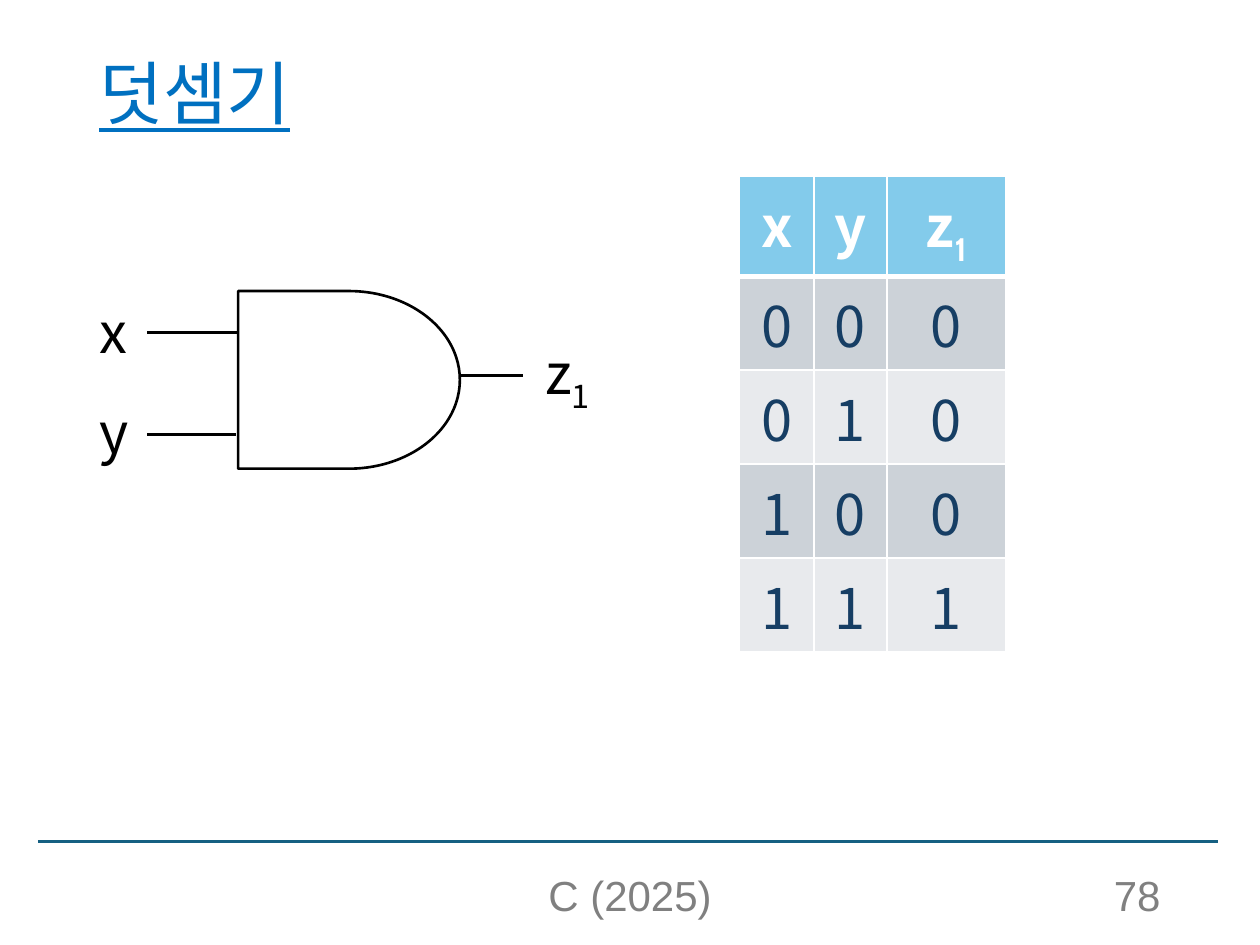
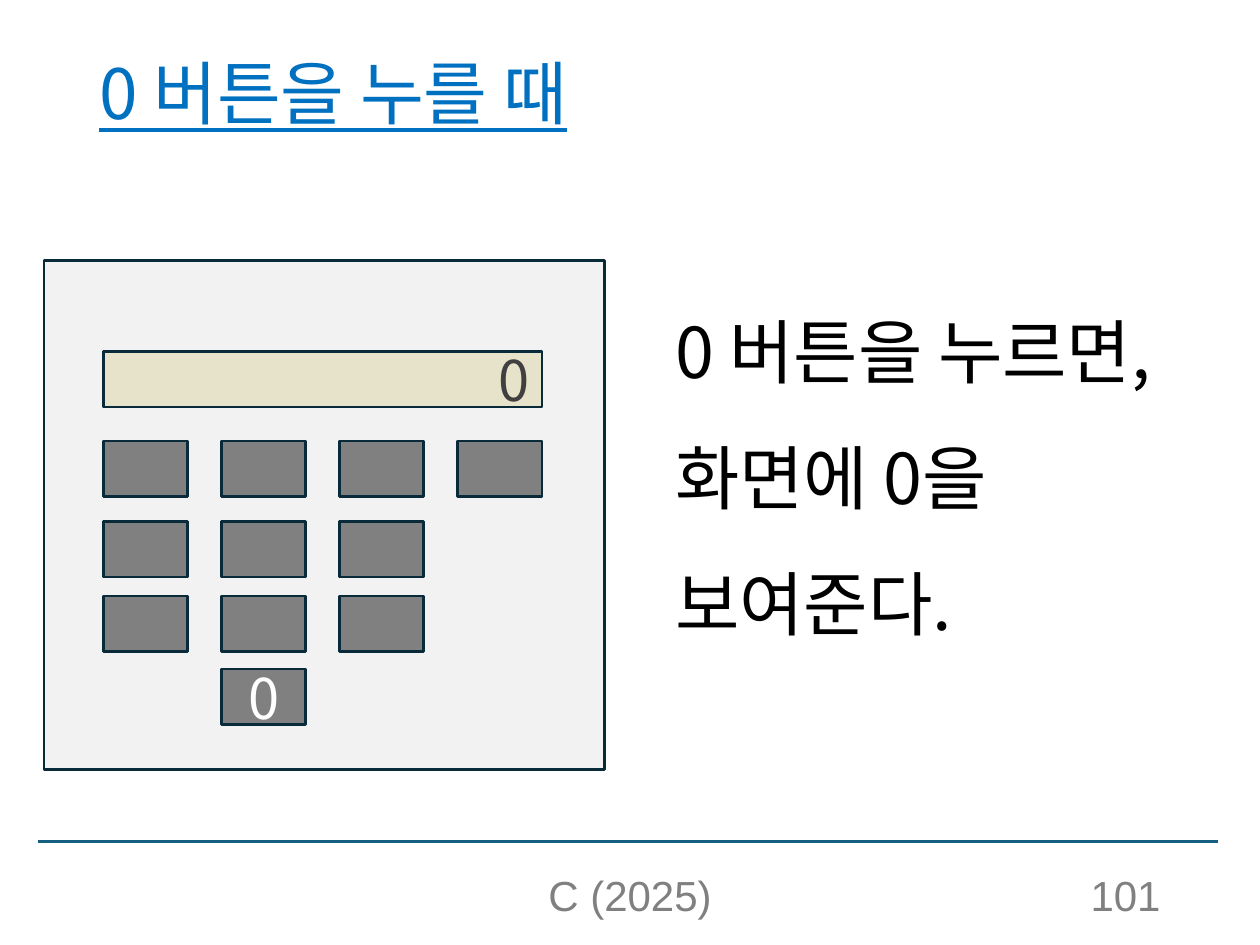
import dataclasses

import pptx
import pptx.dml.color
import pptx.enum.shapes
import pptx.enum.text
import pptx.oxml
import pptx.oxml.ns
import pptx.util

Kind = pptx.enum.shapes.MSO_SHAPE
Align = pptx.enum.text.PP_ALIGN
Anchor = pptx.enum.text.MSO_ANCHOR
Fit = pptx.enum.text.MSO_AUTO_SIZE
COLS, ROWS = 100, 75


@dataclasses.dataclass(frozen=True)
class Theme:
    font: str = "Noto Sans CJK KR"
    small: str = "Cabin"
    plain: str = "Arial"
    title: str = "0070C0"
    rule: str = "156082"
    foot: str = "808080"
    ink: str = "000000"
    white: str = "FFFFFF"
    head: str = "83CBEB"
    cell: str = "163E64"
    bands: tuple = ("CCD2D8", "E8EAED")
    edge: str = "092A39"
    case: str = "F2F2F2"
    key: str = "808080"
    screen: str = "E7E3CB"
    digit: str = "404040"
    title_size: float = 39.6
    body_size: float = 40
    mark_size: float = 32
    foot_size: float = 24
    line: float = 1.5


class Deck:
    """Draws styled elements on the current slide, on a 100 by 75 grid."""

    def __init__(self, theme):
        self.theme = theme
        self.file = pptx.Presentation()
        self.file.slide_width = pptx.util.Inches(10)
        self.file.slide_height = pptx.util.Inches(7.5)
        self.shapes = None

    def across(self, cols):
        return round(self.file.slide_width * cols / COLS)

    def down(self, rows):
        return round(self.file.slide_height * rows / ROWS)

    def place(self, box):
        left, top, width, height = box
        return self.across(left), self.down(top), self.across(width), self.down(height)

    def color(self, code):
        return pptx.dml.color.RGBColor.from_string(code)

    def page(self, title, number):
        t = self.theme
        self.shapes = self.file.slides.add_slide(self.file.slide_layouts[6]).shapes
        self.line((3, 66.8), (96.7, 66.8), t.rule)
        self.text((6.9, 4, 92, 7.4), [title], t.title_size, t.title,
                  anchor=Anchor.MIDDLE, space=0.9, under=True)
        for box, word, align in (((33.1, 69.5, 33.8, 4), "C (2025)", Align.CENTER),
                                 ((70.6, 69.5, 22.5, 4), number, Align.RIGHT)):
            self.text(box, [word], t.foot_size, t.foot, font=t.plain,
                      align=align, anchor=Anchor.BOTTOM)

    def run(self, para, word, size, color, font=None, bold=False, under=False, low=False):
        run = para.add_run()
        run.text = word
        style = run.font
        style.size = pptx.util.Pt(size)
        style.color.rgb = self.color(color)
        style.bold = bold
        style.underline = under
        style.name = font or self.theme.font
        props = run._r.get_or_add_rPr()
        asian = props.makeelement(pptx.oxml.ns.qn("a:ea"), {"typeface": self.theme.font})
        props.append(asian)
        if low:
            props.set("baseline", "-25000")

    def text(self, box, words, size, color, font=None, align=Align.LEFT,
             anchor=Anchor.TOP, space=None, before=0, under=False):
        frame = self.shapes.add_textbox(*self.place(box)).text_frame
        frame.word_wrap = True
        frame.auto_size = Fit.NONE
        frame.vertical_anchor = anchor
        para = frame.paragraphs[0]
        para.alignment = align
        para.space_before = pptx.util.Pt(before)
        if space:
            para.line_spacing = space
        for word in words:
            self.run(para, word, size, color, font, under=under)
        return frame

    def label(self, box, name, low=""):
        t = self.theme
        frame = self.text(box, [name], t.mark_size, t.ink)
        frame.word_wrap = False
        frame.auto_size = Fit.SHAPE_TO_FIT_TEXT
        if low:
            self.run(frame.paragraphs[0], low, t.mark_size, t.ink, low=True)

    def line(self, start, end, color):
        link = self.shapes.add_connector(
            pptx.enum.shapes.MSO_CONNECTOR.STRAIGHT,
            self.across(start[0]), self.down(start[1]),
            self.across(end[0]), self.down(end[1]))
        link.line.color.rgb = self.color(color)
        link.line.width = pptx.util.Pt(self.theme.line)
        props = link._element.spPr
        props.append(props.makeelement(pptx.oxml.ns.qn("a:effectLst"), {}))

    def shape(self, kind, box, fill, edge, word="", color=None, align=Align.CENTER, group=None):
        home = group.shapes if group else self.shapes
        form = home.add_shape(kind, *self.place(box))
        form.shadow.inherit = False
        form.fill.solid()
        form.fill.fore_color.rgb = self.color(fill)
        form.line.color.rgb = self.color(edge)
        form.line.width = pptx.util.Pt(self.theme.line)
        if word:
            form.text_frame.vertical_anchor = Anchor.MIDDLE
            para = form.text_frame.paragraphs[0]
            para.alignment = align
            self.run(para, word, self.theme.mark_size, color)

    def border(self, cell, thick):
        props = cell._tc.get_or_add_tcPr()
        for side in "LRTB":
            width = pptx.util.Pt(3 if side == thick else 1)
            props.append(pptx.oxml.parse_xml(
                f'<a:ln{side} {pptx.oxml.ns.nsdecls("a")} w="{width}"><a:solidFill>'
                f'<a:srgbClr val="{self.theme.white}"/></a:solidFill></a:ln{side}>'))

    def table(self, box, widths, rows):
        t = self.theme
        grid = self.shapes.add_table(len(rows), len(widths), *self.place(box)).table
        grid.first_row = grid.horz_banding = False
        for col, width in zip(grid.columns, widths):
            col.width = self.across(width)
        for r, row in enumerate(rows):
            grid.rows[r].height = self.down(5.8)
            for c, word in enumerate(row):
                cell = grid.cell(r, c)
                self.border(cell, {0: "B", 1: "T"}.get(r))
                cell.fill.solid()
                cell.fill.fore_color.rgb = self.color(t.bands[(r - 1) % 2] if r else t.head)
                para = cell.text_frame.paragraphs[0]
                para.alignment = Align.CENTER
                ink = t.cell if r else t.white
                self.run(para, word[0], t.mark_size, ink, bold=not r)
                if word[1:]:
                    self.run(para, word[1:], t.mark_size, ink, t.small, bold=not r, low=True)


def adder(deck):
    t = deck.theme
    deck.page("덧셈기", "78")
    truth = [(str(x), str(y), str(x & y)) for x in (0, 1) for y in (0, 1)]
    deck.table((58.7, 14, 21.1, 31.7), (5.9, 5.8, 9.4), [("x", "y", "z1")] + truth)
    for start, end, row in ((11.7, 18.8, 26.4), (11.7, 18.7, 34.5), (36, 41.5, 29.8)):
        deck.line((start, row), (end, row), t.ink)
    deck.label((6.9, 23.1, 4.1, 6.4), "x")
    deck.label((6.9, 31.1, 4.2, 6.4), "y")
    deck.label((42.3, 26.4, 5.7, 6.4), "z", "1")
    deck.shape(Kind.FLOWCHART_DELAY, (18.9, 23.1, 17.6, 14.1), t.white, t.ink)


def button(deck):
    t = deck.theme
    deck.page("0 버튼을 누를 때", "101")
    deck.text((52.6, 20.7, 44.5, 40.4), ["0 버튼을 누르면, 화면에 0을 보여준다."],
              t.body_size, t.ink, space=1.5, before=10)
    group = deck.shapes.add_group_shape()
    deck.shape(Kind.RECTANGLE, (3.5, 20.7, 44.5, 40.4), t.case, t.edge, group=group)
    left, step, wide, high = 8.2, 9.37, 6.7, 4.4
    for top, spots in ((35, range(4)), (41.4, range(3)), (47.3, range(3)), (53.1, [1])):
        for spot in spots:
            deck.shape(Kind.RECTANGLE, (left + step * spot, top, wide, high), t.key, t.edge,
                       "0" if top == 53.1 else "", t.white, group=group)
    deck.shape(Kind.RECTANGLE, (left, 27.9, 3 * step + wide, high), t.screen, t.edge,
               "0", t.digit, Align.RIGHT, group)


def main():
    deck = Deck(Theme())
    adder(deck)
    button(deck)
    deck.file.save("out.pptx")


if __name__ == "__main__":
    main()
